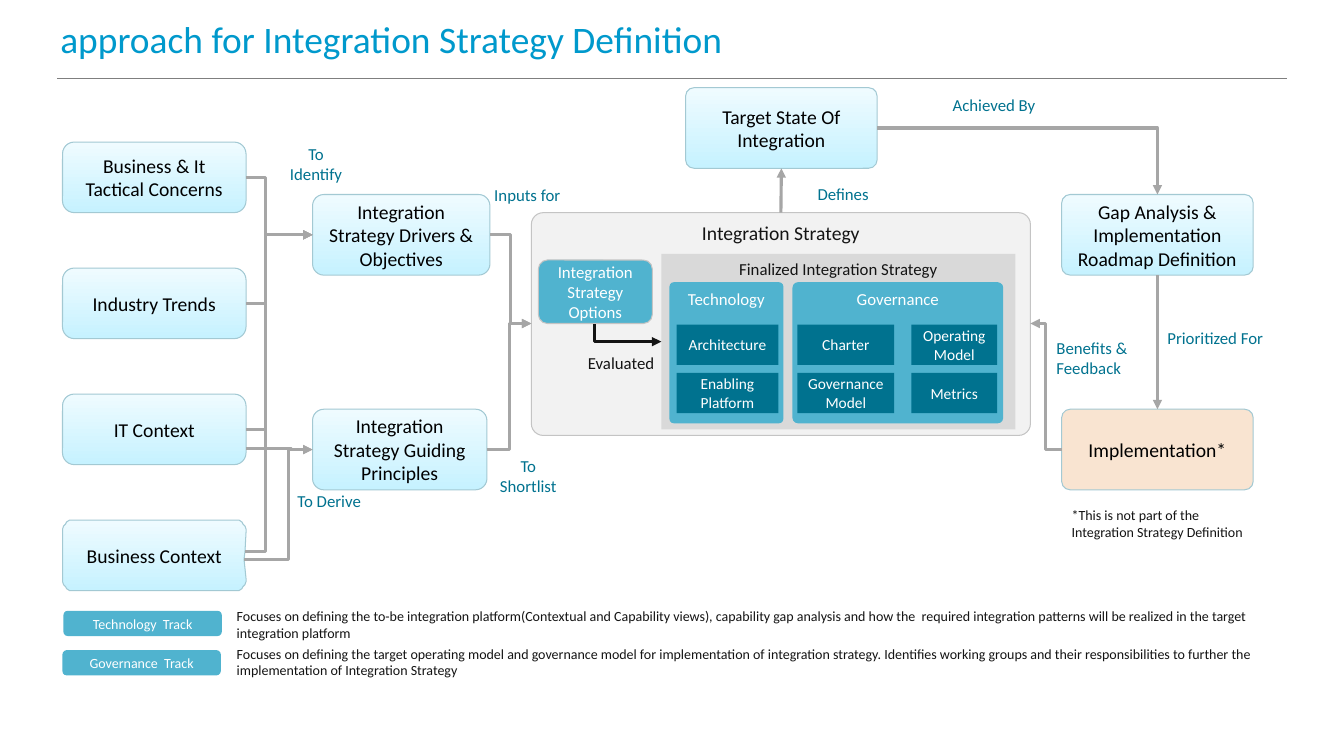
import math
from lxml import etree
from pptx import Presentation
from pptx import util as u
from pptx.dml.color import RGBColor
from pptx.enum import shapes, text
from pptx.oxml.ns import qn

PX = 9144
FONT = "Calibri"
C = {"title": "0099CC", "rule": "7F7F7F", "ink": "141414", "black": "000000",
     "white": "FFFFFF", "note": "00728F", "track": "50B3CF", "panel": "F2F2F2",
     "final": "D9D9D9", "edge": "C4C4C4", "step_edge": "A3C9D3",
     "step_low": "C6F2FF", "step_high": "EFFBFF", "peach": "F9E4D1",
     "arrow": "A6A6A6"}
MSO = shapes.MSO_SHAPE
KIND = shapes.MSO_CONNECTOR
TOP, MIDDLE = text.MSO_ANCHOR.TOP, text.MSO_ANCHOR.MIDDLE
LEFT, CENTER = text.PP_ALIGN.LEFT, text.PP_ALIGN.CENTER


def px(*values):
    return [round(v * PX) for v in values]


def rgb(name):
    return RGBColor.from_string(C[name])


def write(sp, words, size, color, align, anchor):
    tf = sp.text_frame
    tf.text = words
    tf.word_wrap = True
    tf.vertical_anchor = anchor
    p = tf.paragraphs[0]
    p.alignment = align
    p.font.name, p.font.size = FONT, u.Pt(size)
    p.font.color.rgb = rgb(color)
    return tf


def paint(sp, fill, edge=None):
    sp.shadow.inherit = False
    if fill == "step":
        sp.fill.gradient()
        sp.fill.gradient_angle = 90
        for stop, name in zip(sp.fill.gradient_stops, ("step_low", "step_high")):
            stop.color.rgb = rgb(name)
    else:
        sp.fill.solid()
        sp.fill.fore_color.rgb = rgb(fill)
    if edge:
        sp.line.color.rgb = rgb(edge)
        sp.line.width = u.Pt(0.75)
    else:
        sp.line.fill.background()


def block(s, box, words, size, fill, color="white", edge=None, adj=None,
          kind=MSO.ROUNDED_RECTANGLE, anchor=MIDDLE):
    sp = s.shapes.add_shape(kind, *px(*box))
    if adj is not None:
        sp.adjustments[0] = adj
    paint(sp, fill, edge)
    write(sp, words, size, color, CENTER, anchor)
    return sp


def tighten(sp):
    tf = sp.text_frame
    tf.margin_left = tf.margin_right = px(7)[0]
    tf.margin_top = tf.margin_bottom = px(4)[0]


def step(s, box, words, adj, fill="step"):
    sp = block(s, box, words, 14, fill, "black", "step_edge", adj)
    tighten(sp)
    return sp


def notched_step(s, x, y, w, h, words):
    rx, ry = 9, 12

    def corner(cx, cy, start):
        turns = [math.radians(start + 15 * i) for i in range(7)]
        return [(cx + rx * math.cos(a), cy + ry * math.sin(a)) for a in turns]

    pts = (corner(x + rx, y + ry, 180) + corner(x + w - rx, y + ry, 270)
           + [(x + w - 1, y + 31), (x + w - 2, y + 39)]
           + corner(x + w - rx, y + h - ry, 0) + corner(x + rx, y + h - ry, 90))
    fb = s.shapes.build_freeform(*pts[0], scale=PX)
    fb.add_line_segments(pts[1:], close=True)
    sp = fb.convert_to_shape()
    paint(sp, "step", "step_edge")
    write(sp, words, 14, "black", CENTER, MIDDLE)
    tighten(sp)


def label(s, box, words, size=12, color="note", align=LEFT, wrap=True, anchor=TOP):
    sp = s.shapes.add_textbox(*px(*box))
    write(sp, words, size, color, align, anchor).word_wrap = wrap


def line(s, start, end, color="arrow", width=2.25, kind=KIND.STRAIGHT, arrow="tailEnd"):
    cx = s.shapes.add_connector(kind, *px(*start, *end))
    cx.line.color.rgb = rgb(color)
    cx.line.width = u.Pt(width)
    if arrow:
        etree.SubElement(cx.line._get_or_add_ln(), qn("a:" + arrow), type="triangle")
    etree.SubElement(cx._element.spPr, qn("a:effectLst"))
    return cx


def elbow(s, start, end, bend=None, color="arrow", arrow="tailEnd"):
    cx = line(s, start, end, color, kind=KIND.ELBOW, arrow=arrow)
    geom = cx._element.spPr.find(qn("a:prstGeom"))
    if bend is None:
        geom.set("prst", "bentConnector2")
    else:
        ratio = round((bend - start[0]) / (end[0] - start[0]) * 100000)
        av = geom.find(qn("a:avLst"))
        if av is None:
            av = etree.SubElement(geom, qn("a:avLst"))
        etree.SubElement(av, qn("a:gd"), name="adj1", fmla=f"val {ratio}")


def header(s, x, y, w, h):
    label(s, (x, y, w, h - 1), "approach for Integration Strategy Definition",
          26.7, "title", anchor=MIDDLE)
    line(s, (x + 7, y + h), (x + w - 8, y + h), "rule", 0.5, arrow=None)


def drivers(s, x, y):
    names = ["Business & It Tactical Concerns", "Industry Trends", "IT Context"]
    for i, name in enumerate(names):
        step(s, (x, y + 125 * i, 182, 70), name, 0.167)
    notched_step(s, x, y + 375, 182, 70, "Business Context")
    mid = x + 248
    step(s, (mid, y + 265, 173, 80), "Integration Strategy Guiding Principles", 0.141)
    step(s, (mid, y + 52, 176, 80), "Integration Strategy Drivers & Objectives", 0.141)
    for dx, dy in ((182, 160), (182, 35), (182, 285), (181, 406)):
        elbow(s, (x + dx, y + dy), (mid, y + 92), x + 201)
    for dx, dy, bend in ((182, 304, 227), (180, 414, 224)):
        elbow(s, (x + dx, y + dy), (mid, y + 305), x + bend)
    for dx, dy, w, h, words in ((419, 306, 86, 50, "To Shortlist"),
                                (412, 37, 98, 30, "Inputs for"),
                                (208, -3, 87, 50, "To Identify"),
                                (221, 341, 87, 30, "To Derive")):
        label(s, (x + dx, y + dy, w, h), words, align=CENTER)
    elbow(s, (x + 424, y + 92), (x + 465, y + 180), x + 444)
    elbow(s, (x + 421, y + 305), (x + 465, y + 180), x + 443)


def strategy(s, x, y, w, h):
    panel = block(s, (x, y, w, h), "Integration Strategy", 14, "panel", "ink",
                  "edge", 0.053, anchor=TOP)
    block(s, (x + 129, y + 41, 351, 174), "Finalized Integration Strategy", 12,
          "final", "ink", adj=0, anchor=TOP)
    block(s, (x + 7, y + 47, 113, 63), "Integration Strategy Options", 12, "track",
          edge="edge", adj=0.141)
    for dx, tw, name in ((137, 113, "Technology"), (259, 209, "Governance")):
        block(s, (x + dx, y + 69, tw, 140), name, 12, "track", adj=0.039, anchor=TOP)
    columns = ((144, 101, ("Architecture", "Enabling Platform")),
               (264, 96, ("Charter", "Governance Model")),
               (377, 85, ("Operating Model", "Metrics")))
    for dx, cw, names in columns:
        for i, name in enumerate(names):
            block(s, (x + dx, y + 111 + 48 * i, cw, 40), name, 11, "note",
                  kind=MSO.RECTANGLE)
    elbow(s, (x + 129, y + 128), (x + 63, y + 110), color="ink", arrow="headEnd")
    label(s, (x + 44, y + 134, 90, 30), "Evaluated", color="ink", align=CENTER)
    return panel


def outcomes(s, x, y, panel):
    right = x + 373
    target = step(s, (x, y, 190, 80), "Target State Of Integration", 0.106)
    work = step(s, (right, y + 319, 190, 80), "Implementation*", 0.106, "peach")
    gap = step(s, (right, y + 106, 190, 80),
               "Gap Analysis & Implementation Roadmap Definition", 0.106)
    for a, a_side, b, b_side in ((panel, 0, target, 2), (gap, 2, work, 0)):
        cx = line(s, (x, y), (right, y))
        cx.begin_connect(a, a_side)
        cx.end_connect(b, b_side)
    elbow(s, (x + 190, y + 40), (right + 95, y + 106))
    elbow(s, (right, y + 359), (x + 342, y + 234), x + 357)
    for dx, dy, w, words in ((121, 90, 72, "Defines"), (255, 2, 103, "Achieved By"),
                             (468, 233, 116, "Prioritized For")):
        label(s, (x + dx, y + dy, w, 30), words, wrap=False)
    label(s, (x + 358, y + 243, 104, 50), "Benefits & Feedback")
    label(s, (right, y + 411, 211, 44),
          "*This is not part of the Integration Strategy Definition", 10, "ink")


def tracks(s, x, y):
    rows = (("Technology  Track", 1, 8, 0,
             "Focuses on defining the to-be integration platform(Contextual and Capability "
             "views), capability gap analysis and how the  required integration patterns "
             "will be realized in the target integration platform"),
            ("Governance  Track", 0, 47, 37,
             "Focuses on defining the target operating model and governance model for "
             "implementation of integration strategy. Identifies working groups and their "
             "responsibilities to further the implementation of Integration Strategy"))
    for name, dx, tag_y, words_y, words in rows:
        block(s, (x + dx, y + tag_y, 157, 25), name, 10, "track")
        label(s, (x + 163, y + words_y, 1073, 44), words, 10, "ink")


def main():
    prs = Presentation()
    prs.slide_width, prs.slide_height = px(1333, 750)
    s = prs.slides.add_slide(prs.slide_layouts[6])
    header(s, 50, 0, 1234, 78)
    panel = strategy(s, 527, 211, 495, 221)
    drivers(s, 62, 141)
    outcomes(s, 680, 87, panel)
    tracks(s, 62, 598)
    prs.save("out.pptx")


if __name__ == "__main__":
    main()
